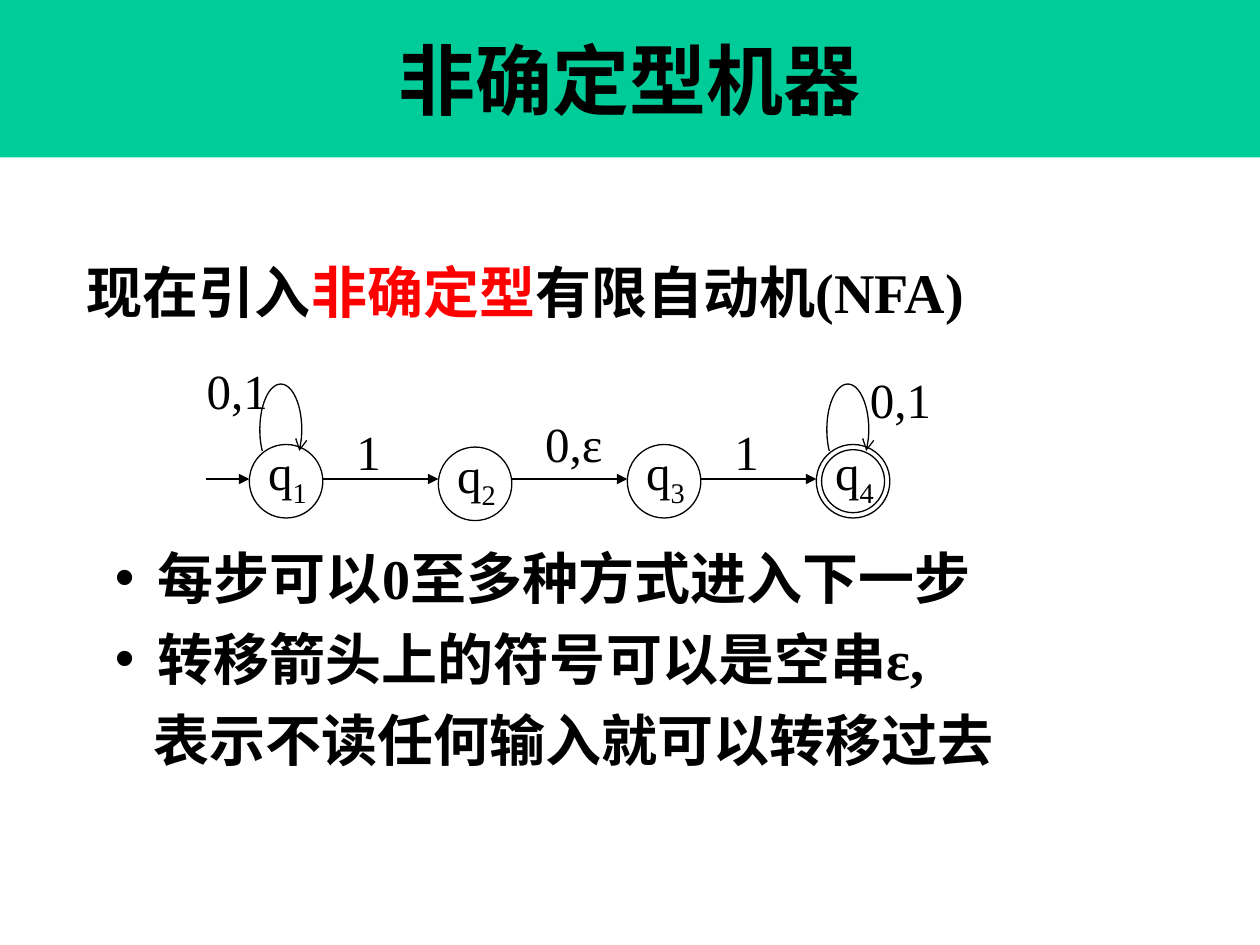
"""Build a slide that introduces nondeterministic finite automata."""
from math import cos, radians, sin

from lxml.etree import SubElement
from pptx import Presentation
from pptx.dml.color import RGBColor
from pptx.enum.shapes import MSO_CONNECTOR as Connector, MSO_SHAPE as Shape
from pptx.enum.text import MSO_ANCHOR as Anchor, MSO_AUTO_SIZE as AutoSize, PP_ALIGN as Align
from pptx.oxml.ns import qn
from pptx.util import Pt

BLACK = RGBColor(0, 0, 0)
RED = RGBColor(255, 0, 0)
GREEN = RGBColor(0, 0xCC, 0x99)
FONT = "Times New Roman"
STATE_SIZE = 42
STATE_LEFT = 142.5
STATE_STEP = 108
STATE_TOPS = (254, 255.5, 254, 254)
ARROW_Y = 273.75


def add_text(paragraph, text, size=28, color=BLACK, bold=False, baseline=None):
    run = paragraph.add_run()
    run.text = text
    run.font.name = FONT
    run.font.size = Pt(size)
    run.font.bold = bold
    run.font.color.rgb = color
    if baseline is not None:
        run._r.get_or_add_rPr().set("baseline", str(baseline))


def place(shape, left, top, width, height):
    shape.left, shape.top = Pt(left), Pt(top)
    shape.width, shape.height = Pt(width), Pt(height)


def add_box(slide, left, top, width, height, wrap=False):
    box = slide.shapes.add_textbox(Pt(left), Pt(top), Pt(width), Pt(height))
    box.text_frame.word_wrap = wrap
    return box.text_frame.paragraphs[0]


def draw_outline(shape):
    shape.shadow.inherit = False
    shape.fill.background()
    shape.line.color.rgb = BLACK
    shape.line.width = Pt(0.75)


def add_circle(slide, left, top, size):
    circle = slide.shapes.add_shape(Shape.OVAL, Pt(left), Pt(top), Pt(size), Pt(size))
    draw_outline(circle)


def add_head(shape, kind):
    SubElement(shape.line._get_or_add_ln(), qn("a:tailEnd"), type=kind)


def add_arrow(slide, start, end):
    arrow = slide.shapes.add_connector(
        Connector.STRAIGHT, Pt(start), Pt(ARROW_Y), Pt(end), Pt(ARROW_Y))
    arrow.line.color.rgb = BLACK
    arrow.line.width = Pt(0.75)
    add_head(arrow, "triangle")
    SubElement(arrow._element.spPr, qn("a:effectLst"))


def add_loop(slide, state_left):
    center_x, center_y, radius_x, radius_y = state_left + 18, 245.5, 12, 26
    start, sweep, steps = 152, 236, 40
    angles = [radians(start + sweep * step / steps) for step in range(steps + 1)]
    points = [(Pt(center_x + radius_x * cos(angle)), Pt(center_y + radius_y * sin(angle)))
              for angle in angles]
    builder = slide.shapes.build_freeform(*points[0])
    builder.add_line_segments(points[1:], close=False)
    loop = builder.convert_to_shape()
    draw_outline(loop)
    add_head(loop, "arrow")


def add_state(slide, number, left, top):
    add_circle(slide, left, top, STATE_SIZE)
    name = add_box(slide, left + 3.6, top - 5, 38, 41)
    add_text(name, "q")
    add_text(name, str(number), baseline=-25000)


def fill_title(title):
    place(title, 0, 0, 720, 90)
    title.fill.solid()
    title.fill.fore_color.rgb = GREEN
    title.text_frame.vertical_anchor = Anchor.MIDDLE
    heading = title.text_frame.paragraphs[0]
    heading.alignment = Align.CENTER
    add_text(heading, "非确定型机器", size=44, bold=True)


def fill_points(body):
    place(body, 58.5, 299.5, 526.5, 145.5)
    frame = body.text_frame
    frame.auto_size = AutoSize.NONE
    frame.word_wrap = True
    items = (("每步可以0至多种方式进入下一步", True, 24.5),
             ("转移箭头上的符号可以是空串ε,", True, 24.5),
             ("表示不读任何输入就可以转移过去", False, 22))
    for index, (text, bulleted, indent) in enumerate(items):
        item = frame.add_paragraph() if index else frame.paragraphs[0]
        item.alignment = Align.LEFT
        item.line_spacing = 1.2
        item.space_before = Pt(0)
        properties = item._p.get_or_add_pPr()
        properties.set("marL", str(Pt(indent)))
        properties.set("indent", str(Pt(-indent if bulleted else 0)))
        if bulleted:
            SubElement(properties, qn("a:buChar"), char="•")
        else:
            SubElement(properties, qn("a:buNone"))
        add_text(item, text, size=32, bold=True)


def add_intro(slide):
    intro = add_box(slide, 42.5, 136, 530, 50, wrap=True)
    intro.line_spacing = 1.2
    for text, color in (("现在引入", BLACK), ("非确定型", RED), ("有限自动机(NFA)", BLACK)):
        add_text(intro, text, size=32, color=color, bold=True)


def add_automaton(slide):
    lefts = [STATE_LEFT + STATE_STEP * index for index in range(len(STATE_TOPS))]
    for number, (left, top) in enumerate(zip(lefts, STATE_TOPS), 1):
        add_state(slide, number, left, top)
    add_circle(slide, lefts[-1] + 3, STATE_TOPS[-1] + 3, STATE_SIZE - 6)
    add_arrow(slide, 118, lefts[0])
    for left, following in zip(lefts, lefts[1:]):
        add_arrow(slide, left + STATE_SIZE, following)
    for left in (lefts[0], lefts[-1]):
        add_loop(slide, left)
    for text, left, top, width in (("0,1", 111, 202.5, 49.5), ("1", 196.5, 237.5, 28.5),
                                   ("0,ε", 304.5, 232.5, 47.5), ("1", 412.5, 237.5, 28.5),
                                   ("0,1", 490, 207.5, 49.5)):
        add_text(add_box(slide, left, top, width, 41), text)


def main():
    deck = Presentation()
    deck.slide_width, deck.slide_height = Pt(720), Pt(540)
    slide = deck.slides.add_slide(deck.slide_layouts[1])
    fill_title(slide.shapes.title)
    add_intro(slide)
    add_automaton(slide)
    fill_points(slide.placeholders[1])
    deck.save("out.pptx")


main()
